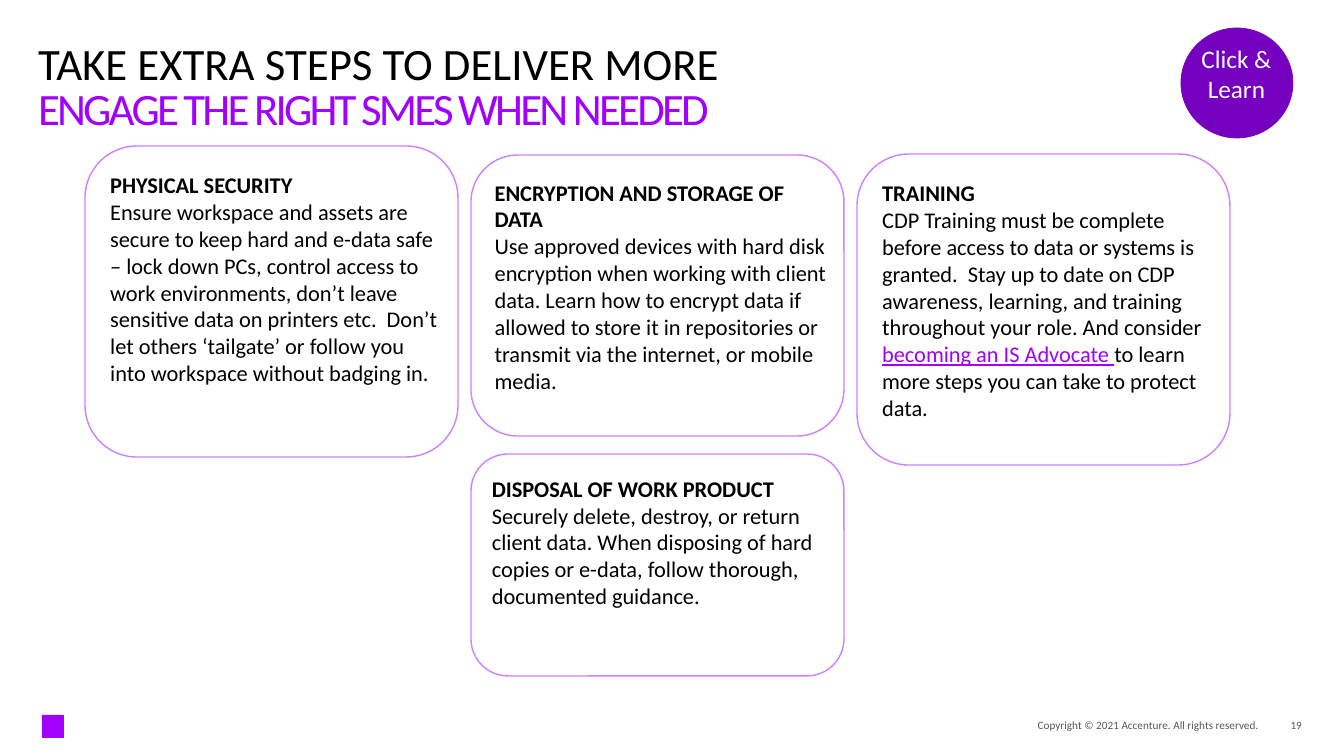
from pptx import Presentation
from pptx import util as u
from pptx.dml.color import RGBColor
from pptx.enum import shapes, text
from pptx.oxml import parse_xml
from pptx.oxml.ns import nsdecls

PURPLE = RGBColor(0xA1, 0x00, 0xFF)
DARK_PURPLE = RGBColor(0x75, 0x00, 0xC0)
BLACK = RGBColor(0x00, 0x00, 0x00)
WHITE = RGBColor(0xFF, 0xFF, 0xFF)
GREY = RGBColor(0x59, 0x59, 0x59)
PX = 914400 / 100.8


def box(left, top, width, height):
    return [u.Emu(round(value * PX)) for value in (left, top, width, height)]


def write(shape, paragraphs, size=16, color=BLACK, align=text.PP_ALIGN.LEFT,
          anchor=text.MSO_ANCHOR.TOP, inset=0, line_spacing=1.0, spacing=None):
    """Fill a shape with paragraphs, each a list of (text, bold, link) runs."""
    frame = shape.text_frame
    frame.word_wrap = True
    frame.auto_size = text.MSO_AUTO_SIZE.NONE
    frame.vertical_anchor = anchor
    frame.margin_left = frame.margin_top = round(inset * PX)
    frame.margin_right = frame.margin_bottom = 0
    for index, runs in enumerate(paragraphs):
        paragraph = frame.paragraphs[0] if index == 0 else frame.add_paragraph()
        paragraph.alignment = align
        paragraph.line_spacing = line_spacing
        paragraph.space_before = paragraph.space_after = u.Pt(0)
        for words, bold, link in runs:
            run = paragraph.add_run()
            run.text = words
            font = run.font
            font.name, font.size, font.bold = "Calibri", u.Pt(size), bold
            font.underline = link
            font.color.rgb = PURPLE if link else color
            if spacing is not None:
                run._r.get_or_add_rPr().set("spc", str(spacing))


def plain(words):
    return [[(words, False, False)]]


presentation = Presentation()
presentation.slide_width, presentation.slide_height = box(0, 0, 1344, 756)[2:]
slide = presentation.slides.add_slide(presentation.slide_layouts[1])

# Heading
title, subtitle = slide.placeholders
title.left, title.top, title.width, title.height = box(38, 42, 1263, 48)
write(title, plain("TAKE EXTRA STEPS TO DELIVER MORE"), size=32, line_spacing=0.9)

subtitle.left, subtitle.top, subtitle.width, subtitle.height = box(38, 81, 1267, 39)
properties = subtitle.text_frame.paragraphs[0]._p.get_or_add_pPr()
properties.set("marL", "0")
properties.set("indent", "0")
properties.append(parse_xml(f"<a:buNone {nsdecls('a')}/>"))
write(subtitle, plain("ENGAGE THE RIGHT SMES WHEN NEEDED"), size=32, color=PURPLE, spacing=-200)

# Cards: column, top, height, heading, body runs
CARD_LEFT, CARD_WIDTH, CARD_STEP = 85, 373, 386
cards = [
    (0, 146, 311, "PHYSICAL SECURITY", [
        ("Ensure workspace and assets are secure to keep hard and e-data safe – lock down PCs, "
         "control access to work environments, don’t leave sensitive data on printers etc.  "
         "Don’t let others ‘tailgate’ or follow you into workspace without badging in.",
         False, False)]),
    (1, 155, 281, "ENCRYPTION AND STORAGE OF DATA", [
        ("Use approved devices with hard disk encryption when working with client data. Learn how "
         "to encrypt data if allowed to store it in repositories or transmit via the internet, "
         "or mobile media.", False, False)]),
    (2, 154, 311, "TRAINING", [
        ("CDP Training must be complete before access to data or systems is granted.  Stay up to "
         "date on CDP awareness, learning, and training throughout your role. And consider ",
         False, False),
        ("becoming an IS Advocate ", False, True),
        ("to learn more steps you can take to protect data.", False, False)]),
    (1, 454, 222, "DISPOSAL OF WORK PRODUCT", [
        ("Securely delete, destroy, or return client data. When disposing of hard copies or "
         "e-data, follow thorough, documented guidance.", False, False)]),
]
for column, top, height, heading, body in cards:
    card = slide.shapes.add_shape(
        shapes.MSO_SHAPE.FLOWCHART_ALTERNATE_PROCESS,
        *box(CARD_LEFT + column * CARD_STEP, top, CARD_WIDTH, height))
    card.shadow.inherit = False
    card.fill.solid()
    card.fill.fore_color.rgb = WHITE
    card.line.color.rgb = PURPLE
    card.line.width = u.Pt(1)
    line_color = card._element.xpath(".//a:ln//a:srgbClr")[0]
    line_color.append(parse_xml(f'<a:alpha {nsdecls("a")} val="50000"/>'))
    write(card, [[(heading, True, False)], body], inset=10)

# Badge and footer mark
for kind, place, color in [
    (shapes.MSO_SHAPE.OVAL, (1181, 28, 112, 110), DARK_PURPLE),
    (shapes.MSO_SHAPE.RECTANGLE, (42, 715, 21, 22), PURPLE),
]:
    mark = slide.shapes.add_shape(kind, *box(*place))
    mark.shadow.inherit = False
    mark.fill.solid()
    mark.fill.fore_color.rgb = color
    mark.line.color.rgb = color
    mark.line.width = u.Pt(0.5)

badge_label = slide.shapes.add_textbox(*box(1193, 43, 87, 47))
write(badge_label, plain("Click & Learn"), size=18, color=WHITE, align=text.PP_ALIGN.CENTER)

# Footer
for left, width, words in [
    (909, 350, "Copyright © 2021 Accenture. All rights reserved."),
    (1260, 42, "19"),
]:
    footer = slide.shapes.add_textbox(*box(left, 719, width, 13))
    write(footer, plain(words), size=8, color=GREY, align=text.PP_ALIGN.RIGHT,
          anchor=text.MSO_ANCHOR.BOTTOM)

presentation.save("out.pptx")
